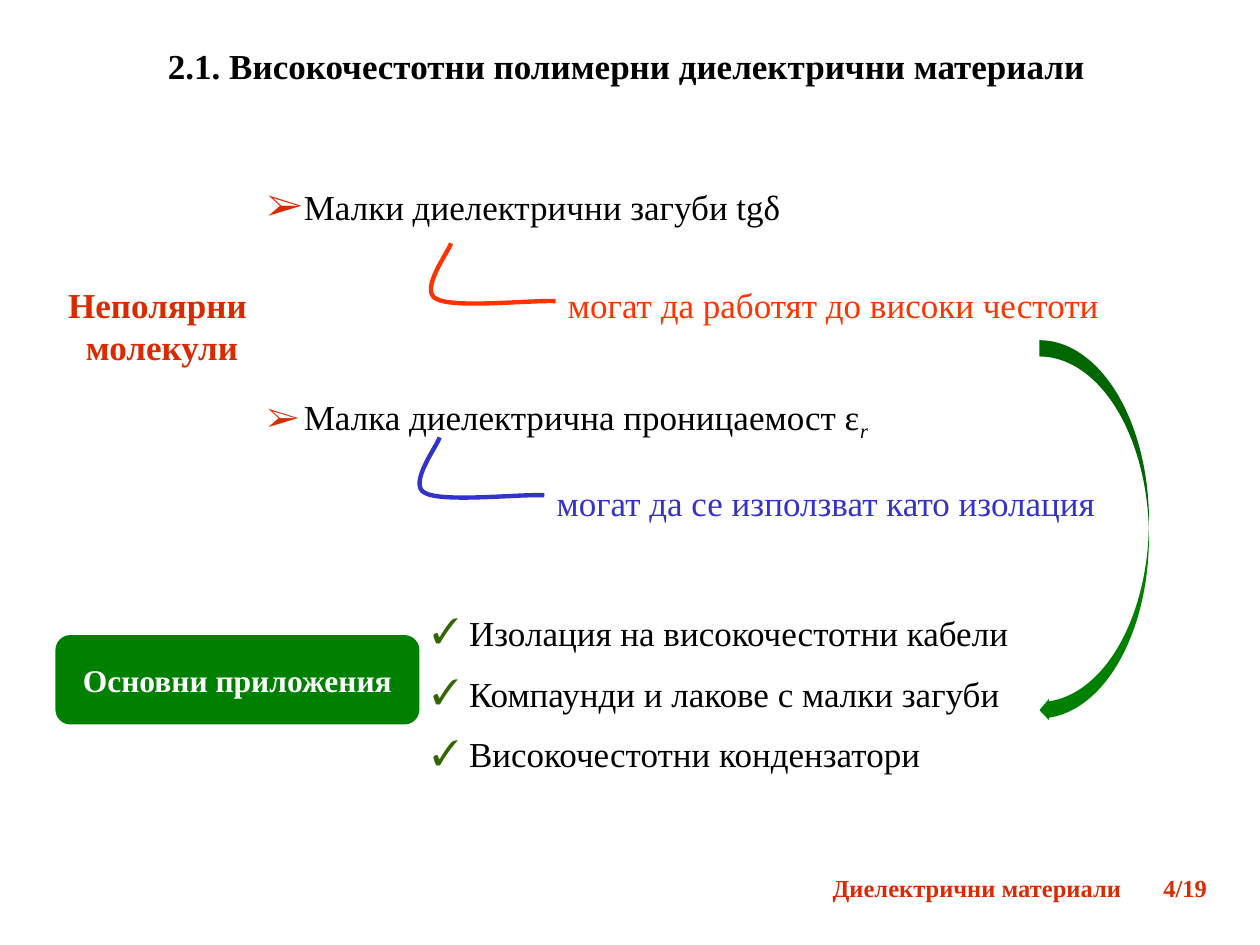
from lxml import etree
from pptx import Presentation
from pptx import util as u
from pptx.dml.color import RGBColor
from pptx.enum import shapes, text
from pptx.oxml.ns import qn

Pt = u.Pt
FONT = "Times New Roman"
RED, ORANGE, BLUE, GREEN, CHECK = "DA2A00", "FF3300", "3333CC", "008000", "336600"
AL = text.PP_ALIGN


def color(target, value):
    target.rgb = RGBColor.from_string(value)


def style(font, c="000000", **values):
    for key, value in {"name": FONT, "size": Pt(20), "bold": False, **values}.items():
        setattr(font, key, value)
    color(font.color, c)


def place(sp, box):
    for key, value in zip(("left", "top", "width", "height"), box):
        setattr(sp, key, Pt(value))


def write(sp, lines, align=AL.LEFT, anchor=text.MSO_ANCHOR.TOP, **fmt):
    tf = sp.text_frame
    settings = {"word_wrap": True, "auto_size": text.MSO_AUTO_SIZE.NONE,
                "vertical_anchor": anchor, "margin_left": Pt(7.2), "margin_right": Pt(7.2),
                "margin_top": Pt(3.6), "margin_bottom": Pt(3.6)}
    for key, value in settings.items():
        setattr(tf, key, value)
    for i, line in enumerate(lines):
        p = tf.paragraphs[0] if i == 0 else tf.add_paragraph()
        p.alignment = align
        p.space_before = Pt(0)
        r = p.add_run()
        r.text = line
        style(r.font, **fmt)
    return tf


def textbox(s, box, lines, **fmt):
    sp = s.shapes.add_textbox(*map(Pt, box))
    return write(sp, lines, **fmt)


def bullet(p, char, c, size=100, indent=21):
    pPr = p._p.get_or_add_pPr()
    pPr.set("marL", str(Pt(indent)))
    pPr.set("indent", str(-Pt(indent)))
    clr = etree.SubElement(pPr, qn("a:buClr"))
    etree.SubElement(clr, qn("a:srgbClr"), val=c)
    etree.SubElement(pPr, qn("a:buSzPct"), val=str(size * 1000))
    etree.SubElement(pPr, qn("a:buFont"), typeface=FONT)
    etree.SubElement(pPr, qn("a:buChar"), char=char)


def title(sp, box):
    place(sp, box)
    write(sp, ["2.1. Високочестотни полимерни диелектрични материали"],
          align=AL.CENTER, anchor=text.MSO_ANCHOR.MIDDLE, bold=True)


def properties(sp, box):
    place(sp, box)
    tf = write(sp, ["Малки диелектрични загуби tgδ", "Малка диелектрична проницаемост ε"],
               align=AL.JUSTIFY)
    first, second = tf.paragraphs
    second.space_before = Pt(96)
    bullet(first, "➢", RED, 111)
    bullet(second, "➢", RED)
    r = second.add_run()
    r.text = "r"
    style(r.font, italic=True)
    r.font._element.set("baseline", "-25000")


def applications(sp, box):
    place(sp, box)
    tf = write(sp, ["Изолация на високочестотни кабели", "Компаунди и лакове с малки загуби",
                    "Високочестотни кондензатори"])
    for p in tf.paragraphs:
        p.line_spacing = 1.45
        bullet(p, "✓", CHECK)


def curve(s, x, y, c):
    points = [(-59.8, 0), (-61.2, 5), (-77.8, 26.6), (-68.4, 31.7),
              (-58.4, 37.4), (-14.4, 32.4), (0, 33.1)]
    start, *rest = [(Pt(x + dx), Pt(y + dy)) for dx, dy in points]
    fb = s.shapes.build_freeform(*start)
    fb.add_line_segments(rest, close=False)
    sp = fb.convert_to_shape()
    path = sp._element.find(".//" + qn("a:path"))
    segments = path.findall(qn("a:lnTo"))
    for i in range(0, len(segments), 3):
        bezier = etree.SubElement(path, qn("a:cubicBezTo"))
        for segment in segments[i:i + 3]:
            bezier.append(segment[0])
            path.remove(segment)
    sp.shadow.inherit = False
    sp.fill.background()
    sp.line.width = Pt(2.5)
    color(sp.line.color, c)


def consequence(s, box, line, c, curve_dy):
    textbox(s, box, [line], align=AL.JUSTIFY, c=c)
    curve(s, box[0], box[1] + curve_dy, c)


def green_shape(s, kind, box, adjustments):
    sp = s.shapes.add_shape(kind, *map(Pt, box))
    sp.shadow.inherit = False
    sp.fill.solid()
    color(sp.fill.fore_color, GREEN)
    sp.line.fill.background()
    for i, value in enumerate(adjustments):
        sp.adjustments[i] = value
    return sp


def footer(s, box):
    tf = textbox(s, box, ["Диелектрични материали\t4/19"], c=RED, size=Pt(14), bold=True)
    tabs = etree.SubElement(tf.paragraphs[0]._p.get_or_add_pPr(), qn("a:tabLst"))
    etree.SubElement(tabs, qn("a:tab"), pos=str(Pt(189)), algn="l")


def main():
    prs = Presentation()
    prs.slide_width, prs.slide_height = Pt(720), Pt(540)
    s = prs.slides.add_slide(prs.slide_layouts[3])
    heading, upper, lower = s.placeholders

    title(heading, (85.5, 19.7, 545, 36))
    properties(upper, (145.4, 102.2, 403, 151))
    applications(lower, (239.8, 334.8, 345.6, 111.6))
    textbox(s, (31.7, 158.4, 121.7, 55.4), ["Неполярни ", "молекули"],
            align=AL.CENTER, c=RED, bold=True)
    consequence(s, (317.5, 158.4, 340, 31), "могат да работят до високи честоти", ORANGE, -19.4)
    consequence(s, (311, 271.4, 340, 31), "могат да се използват като изолация", BLUE, -21.5)

    kinds = shapes.MSO_SHAPE
    green_shape(s, kinds.CURVED_LEFT_ARROW, (594, 194.4, 62.6, 217.4), (0.149, 0.191, 0.086))
    label = green_shape(s, kinds.ROUNDED_RECTANGLE, (31.7, 362.9, 208, 51.1), (0.167,))
    write(label, ["Основни приложения"], align=AL.CENTER, anchor=text.MSO_ANCHOR.MIDDLE,
          c="FFFFFF", size=Pt(18), bold=True)
    footer(s, (468.7, 495.4, 229, 23.8))
    prs.save("out.pptx")


if __name__ == "__main__":
    main()
